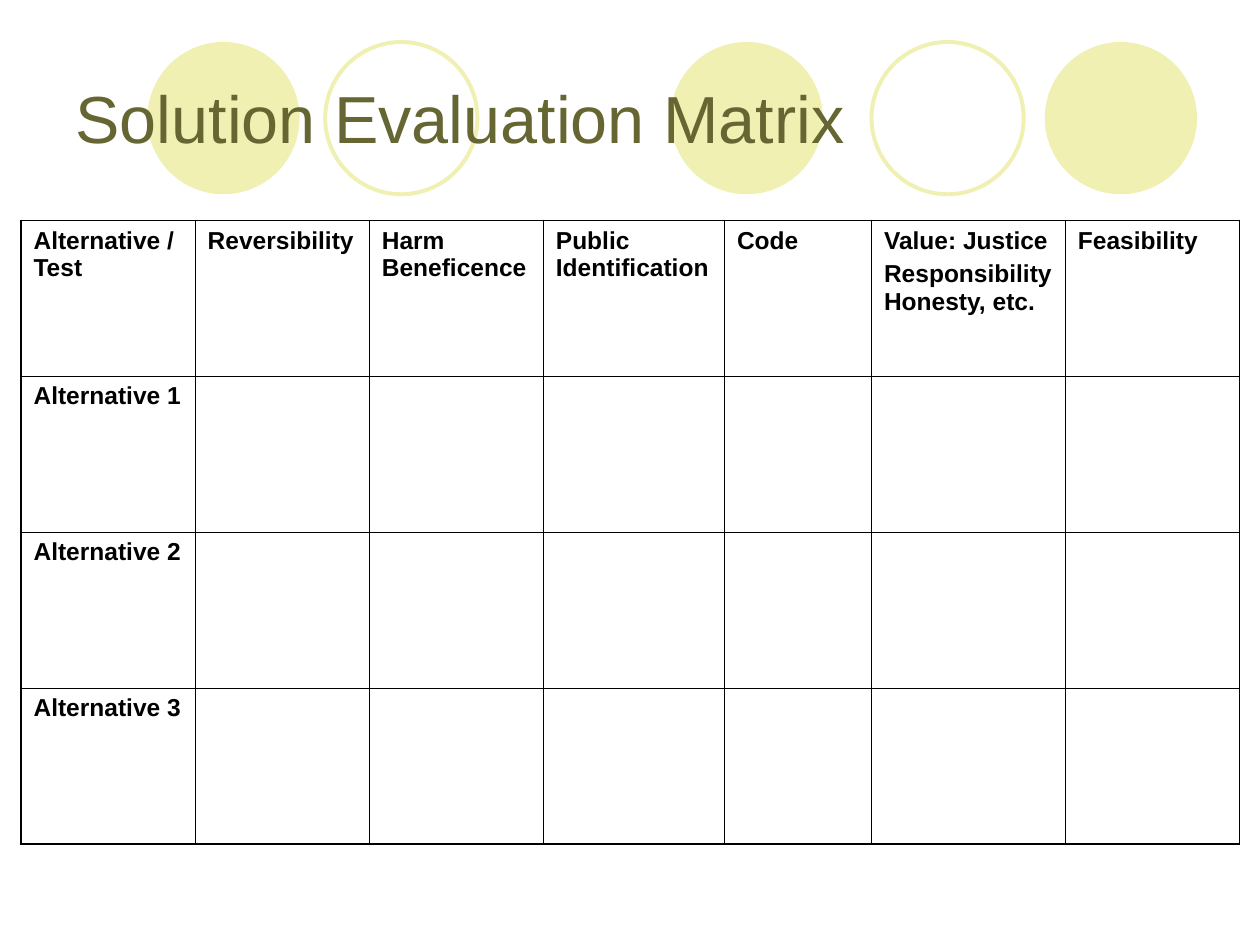
from dataclasses import dataclass

from lxml import etree
from pptx import Presentation
from pptx.dml.color import RGBColor
from pptx.enum.shapes import MSO_SHAPE
from pptx.enum.text import MSO_ANCHOR, MSO_AUTO_SIZE, PP_ALIGN
from pptx.oxml.ns import qn
from pptx.slide import Slide
from pptx.table import _Cell
from pptx.text.text import Font
from pptx.util import Pt

OVAL = MSO_SHAPE.OVAL
LEFT = PP_ALIGN.LEFT
TOP = MSO_ANCHOR.TOP
MIDDLE = MSO_ANCHOR.MIDDLE
NO_AUTOFIT = MSO_AUTO_SIZE.NONE

PALE_YELLOW = RGBColor(0xEF, 0xF0, 0xB2)
OLIVE = RGBColor(0x66, 0x66, 0x33)
BLACK = RGBColor(0x00, 0x00, 0x00)

TITLE_FORMAT = {"name": "Arial", "size": Pt(38), "bold": False}
CELL_FORMAT = {"name": "Arial", "size": Pt(14), "bold": True}
MARGINS = {
    "margin_left": Pt(7.2),
    "margin_right": Pt(7.2),
    "margin_top": Pt(3.6),
    "margin_bottom": Pt(3.6),
}

CIRCLE_TOP = Pt(24)
CIRCLE_SIZE = Pt(87)
INNER_BORDER = Pt(0.45)
OUTER_BORDER = Pt(1.08)
ROW_HEIGHT = Pt(89.1)
PARAGRAPH_GAP = Pt(3.5)


@dataclass(frozen=True)
class Circle:
    left: float
    filled: bool


@dataclass(frozen=True)
class Column:
    heading: str
    width: float


CIRCLES = [
    Circle(84.2, True),
    Circle(185.8, False),
    Circle(383.2, True),
    Circle(498, False),
    Circle(597, True),
]
COLUMNS = [
    Column("Alternative / Test", 99.5),
    Column("Reversibility", 99.5),
    Column("Harm Beneficence", 99.5),
    Column("Public Identification", 103.5),
    Column("Code", 84),
    Column("Value: Justice\nResponsibility\vHonesty, etc.", 110.8),
    Column("Feasibility", 99.5),
]
ALTERNATIVES = ["Alternative 1", "Alternative 2", "Alternative 3"]


def set_attributes(target: object, values: dict) -> None:
    for name, value in values.items():
        setattr(target, name, value)


def format_font(font: Font, values: dict, color: RGBColor) -> None:
    set_attributes(font, values)
    font.color.rgb = color


def add_circle(slide: Slide, circle: Circle) -> None:
    shape = slide.shapes.add_shape(
        OVAL, Pt(circle.left), CIRCLE_TOP, CIRCLE_SIZE, CIRCLE_SIZE
    )
    shape.shadow.inherit = False
    if circle.filled:
        shape.fill.solid()
        shape.fill.fore_color.rgb = PALE_YELLOW
        shape.line.fill.background()
    else:
        shape.fill.background()
        shape.line.color.rgb = PALE_YELLOW
        shape.line.width = Pt(2.25)


def format_title(slide: Slide) -> None:
    """Write the title and bring it in front of the circles."""
    title = slide.shapes.title
    box = {"left": Pt(36), "top": Pt(21.6), "width": Pt(648), "height": Pt(90)}
    set_attributes(title, box)
    frame = title.text_frame
    frame.text = "Solution Evaluation Matrix"
    set_attributes(frame, MARGINS)
    set_attributes(
        frame,
        {"vertical_anchor": MIDDLE, "word_wrap": True, "auto_size": NO_AUTOFIT},
    )
    paragraph = frame.paragraphs[0]
    paragraph.alignment = LEFT
    format_font(paragraph.runs[0].font, TITLE_FORMAT, OLIVE)
    slide.shapes.element.append(title.element)


def set_borders(cell: _Cell, outer_sides: dict[str, bool]) -> None:
    """Draw each side, thicker where it lies on the edge of the table."""
    properties = cell._tc.get_or_add_tcPr()
    for position, (side, is_outer) in enumerate(outer_sides.items()):
        width = OUTER_BORDER if is_outer else INNER_BORDER
        line = etree.Element(qn(f"a:{side}"), w=str(int(width)))
        fill = etree.SubElement(line, qn("a:solidFill"))
        etree.SubElement(fill, qn("a:srgbClr"), val=str(BLACK))
        properties.insert(position, line)


def fill_cell(cell: _Cell, text: str) -> None:
    cell.fill.background()
    set_attributes(cell, MARGINS)
    cell.vertical_anchor = TOP
    cell.text_frame.text = text
    for index, paragraph in enumerate(cell.text_frame.paragraphs):
        paragraph.alignment = LEFT
        if index:
            paragraph.space_before = PARAGRAPH_GAP
        format_font(paragraph.font, CELL_FORMAT, BLACK)
        for run in paragraph.runs:
            format_font(run.font, CELL_FORMAT, BLACK)


def add_matrix(slide: Slide) -> None:
    blanks = [""] * (len(COLUMNS) - 1)
    rows = [[column.heading for column in COLUMNS]]
    rows += [[alternative, *blanks] for alternative in ALTERNATIVES]
    last_row, last_column = len(rows) - 1, len(COLUMNS) - 1
    total_width = Pt(sum(column.width for column in COLUMNS))
    table = slide.shapes.add_table(
        len(rows), len(COLUMNS), Pt(12), Pt(126), total_width, ROW_HEIGHT * len(rows)
    ).table
    set_attributes(table, {"first_row": False, "horz_banding": False})
    for table_column, column in zip(table.columns, COLUMNS):
        table_column.width = Pt(column.width)
    for row_index, texts in enumerate(rows):
        table.rows[row_index].height = ROW_HEIGHT
        for column_index, text in enumerate(texts):
            cell = table.cell(row_index, column_index)
            fill_cell(cell, text)
            set_borders(cell, {
                "lnL": column_index == 0,
                "lnR": column_index == last_column,
                "lnT": row_index == 0,
                "lnB": row_index == last_row,
            })


def main() -> None:
    presentation = Presentation()
    presentation.slide_width = Pt(720)
    presentation.slide_height = Pt(540)
    title_only = presentation.slide_layouts.get_by_name("Title Only")
    slide = presentation.slides.add_slide(title_only)
    for circle in CIRCLES:
        add_circle(slide, circle)
    format_title(slide)
    add_matrix(slide)
    presentation.save("out.pptx")


if __name__ == "__main__":
    main()
